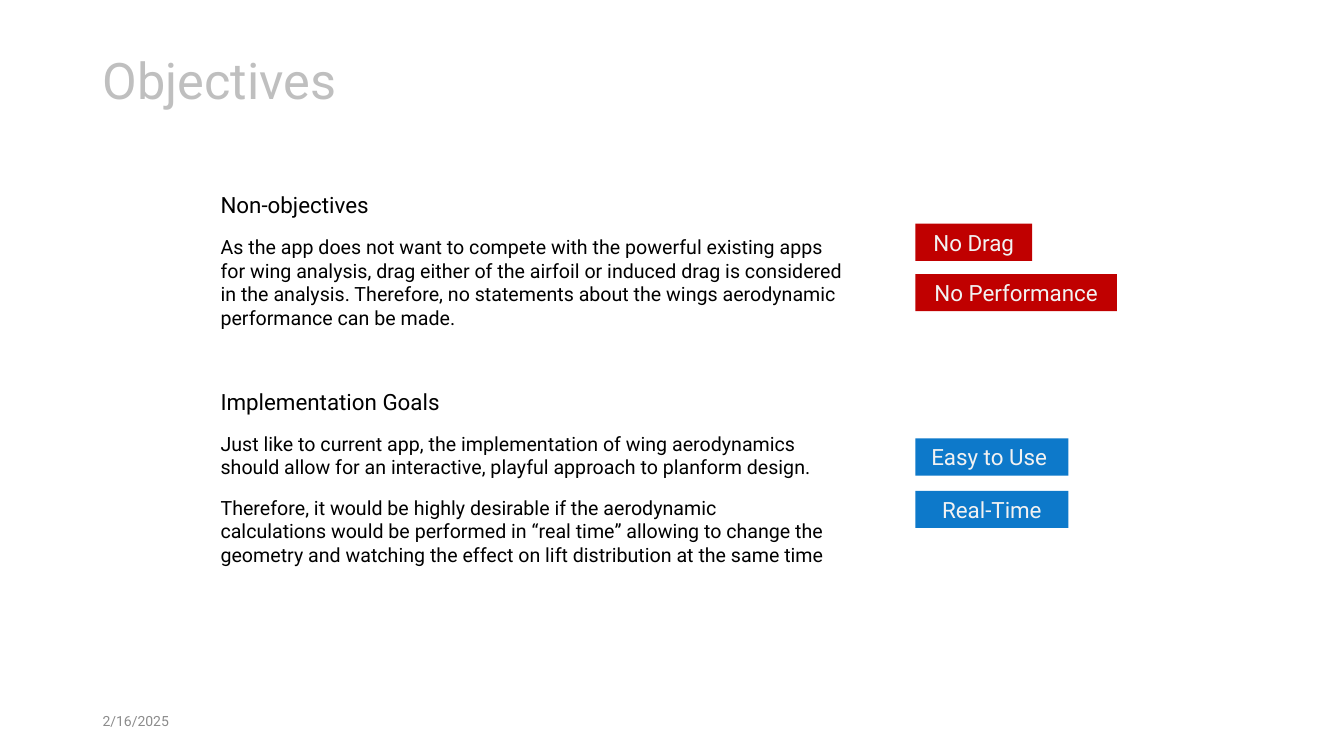
from pptx import Presentation
from pptx.dml.color import RGBColor
from pptx.enum.shapes import MSO_SHAPE as Shape
from pptx.enum.text import MSO_ANCHOR as Anchor, MSO_AUTO_SIZE as Fit, PP_ALIGN as Align
from pptx.util import Pt

BLACK = RGBColor(0x00, 0x00, 0x00)
SILVER = RGBColor(0xBF, 0xBF, 0xBF)
GRAY = RGBColor(0x8C, 0x8C, 0x8C)
PALE = RGBColor(0xF2, 0xF2, 0xF2)
RED = RGBColor(0xC0, 0x00, 0x00)
BLUE = RGBColor(0x0D, 0x79, 0xCA)

TOPICS = [
    (133.2, 458.6, 90, [
        "Non-objectives",
        "As the app does not want to compete with the powerful existing apps for wing "
        "analysis, drag either of the airfoil or induced drag is considered in the analysis. "
        "Therefore, no statements about the wings aerodynamic performance can be made.",
    ]),
    (273.6, 446.4, 135.4, [
        "Implementation Goals",
        "Just like to current app, the implementation of wing aerodynamics should allow for "
        "an interactive, playful approach to planform design.",
        "Therefore, it would be highly desirable if the aerodynamic calculations would be "
        "performed in “real time” allowing to change the geometry and watching the effect "
        "on lift distribution at the same time",
    ]),
]
TAGS = [
    ("No Drag", 159.8, 83.5, RED),
    ("No Performance", 195.8, 144, RED),
    ("Easy to Use ", 313.2, 109.4, BLUE),
    ("Real-Time", 350.6, 109.4, BLUE),
]


def write(par, text, size, color):
    par.text = text
    font = par.runs[0].font
    font.name = "Roboto"
    font.size = Pt(size)
    font.color.rgb = color


deck = Presentation()
deck.slide_width, deck.slide_height = Pt(960), Pt(540)
slide = deck.slides.add_slide(deck.slide_layouts[5])
shapes = slide.shapes

title = shapes.title
title.left, title.top, title.width, title.height = Pt(66.2), Pt(28.8), Pt(828), Pt(61.9)
frame = title.text_frame
frame.auto_size = Fit.NONE
frame.vertical_anchor = Anchor.MIDDLE
head = frame.paragraphs[0]
write(head, "Objectives", 36, SILVER)
head.alignment = Align.LEFT
head.line_spacing = 0.9

for top, width, height, texts in TOPICS:
    frame = shapes.add_textbox(Pt(150.5), Pt(top), Pt(width), Pt(height)).text_frame
    frame.word_wrap = True
    frame.auto_size = Fit.SHAPE_TO_FIT_TEXT
    for i, text in enumerate(texts):
        par = frame.add_paragraph() if i else frame.paragraphs[0]
        write(par, text, 14 if i else 16, BLACK)
        par.space_before = Pt(12)

for text, top, width, color in TAGS:
    tag = shapes.add_shape(Shape.RECTANGLE, Pt(653.8), Pt(top), Pt(width), Pt(26.6))
    tag.shadow.inherit = False
    tag.fill.solid()
    tag.fill.fore_color.rgb = color
    tag.line.fill.background()
    frame = tag.text_frame
    frame.word_wrap = True
    frame.auto_size = Fit.SHAPE_TO_FIT_TEXT
    frame.vertical_anchor = Anchor.TOP
    write(frame.paragraphs[0], text, 16, PALE)
    frame.paragraphs[0].alignment = Align.CENTER

frame = shapes.add_textbox(Pt(66.2), Pt(500.4), Pt(216), Pt(28.8)).text_frame
frame.word_wrap = True
frame.vertical_anchor = Anchor.MIDDLE
write(frame.paragraphs[0], "2/16/2025", 10, GRAY)

deck.save("out.pptx")
